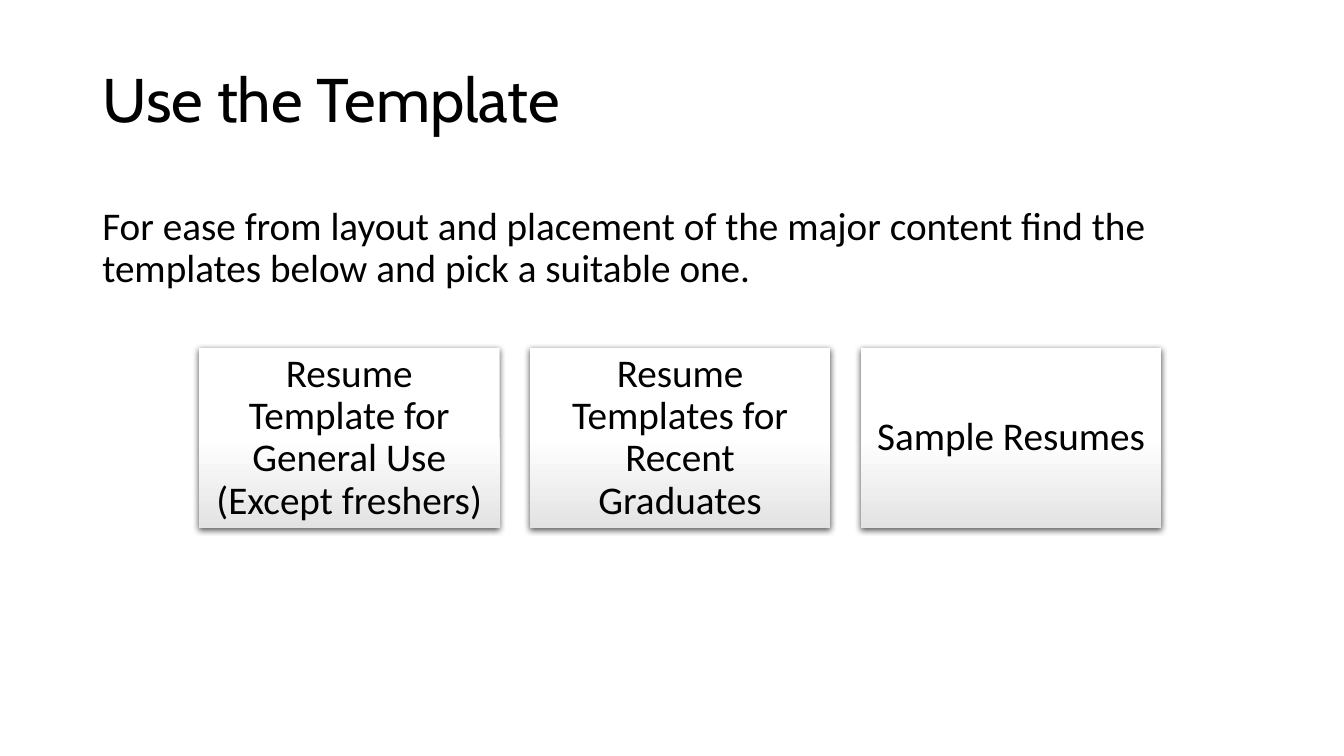
from copy import deepcopy

from lxml import etree
from pptx import Presentation
from pptx.dml.color import RGBColor
from pptx.enum.shapes import MSO_SHAPE
from pptx.enum.text import MSO_ANCHOR, PP_ALIGN
from pptx.oxml import parse_xml
from pptx.util import Cm, Pt

RECTANGLE = MSO_SHAPE.RECTANGLE
TOP, MIDDLE = MSO_ANCHOR.TOP, MSO_ANCHOR.MIDDLE
LEFT, CENTER = PP_ALIGN.LEFT, PP_ALIGN.CENTER
SHADOW = (
    '<a:outerShdw xmlns:a="http://schemas.openxmlformats.org/drawingml/2006/main" '
    'blurRad="57150" dist="19050" dir="5400000" algn="ctr" rotWithShape="0">'
    '<a:srgbClr val="000000"><a:alpha val="63000"/></a:srgbClr></a:outerShdw>'
)


def color(value):
    return RGBColor.from_string(value)


def write(shape, text, font_name, size, anchor, align):
    frame = shape.text_frame
    frame.word_wrap = True
    frame.vertical_anchor = anchor
    paragraph = frame.paragraphs[0]
    paragraph.text = text
    paragraph.alignment = align
    paragraph.line_spacing = 0.9
    font = paragraph.runs[0].font
    for key, value in {"name": font_name, "size": Pt(size)}.items():
        setattr(font, key, value)
    font.color.rgb = color("000000")


deck = Presentation()
deck.slide_width, deck.slide_height = Cm(33.87), Cm(19.05)
slide = deck.slides.add_slide(deck.slide_layouts[6])

heading = slide.shapes.add_textbox(Cm(2.33), Cm(0.74), Cm(29.21), Cm(3.68))
write(heading, "Use the Template", "Cabin", 44, MIDDLE, LEFT)

intro = slide.shapes.add_textbox(Cm(2.33), Cm(5.08), Cm(29.21), Cm(2.67))
write(
    intro,
    "For ease from layout and placement of the major content find the "
    "templates below and pick a suitable one.",
    "Calibri", 28, TOP, LEFT,
)

choices = [
    "Resume Template for General Use (Except freshers)",
    "Resume Templates for Recent Graduates",
    "Sample Resumes",
]
choice_width, gap = 7.58, 0.76
for index, choice in enumerate(choices):
    left = 5.01 + index * (choice_width + gap)
    card = slide.shapes.add_shape(RECTANGLE, Cm(left), Cm(8.76), Cm(choice_width), Cm(4.55))
    card.fill.gradient()
    card.fill.gradient_angle = 270
    for stop, shade in zip(card.fill.gradient_stops, ("FFFFFF", "E3E3E3")):
        stop.color.rgb = color(shade)
    first_stop = card.element.spPr.find(".//{*}gs")
    middle_stop = deepcopy(first_stop)
    middle_stop.set("pos", "50000")
    first_stop.addnext(middle_stop)
    card.line.fill.background()
    card.shadow.inherit = False
    effects = card.element.spPr.find("{*}effectLst")
    effects.append(parse_xml(SHADOW))
    for side in ("left", "right", "top", "bottom"):
        setattr(card.text_frame, f"margin_{side}", Cm(0.3))
    write(card, choice, "Calibri", 28, MIDDLE, CENTER)

deck.save("out.pptx")
